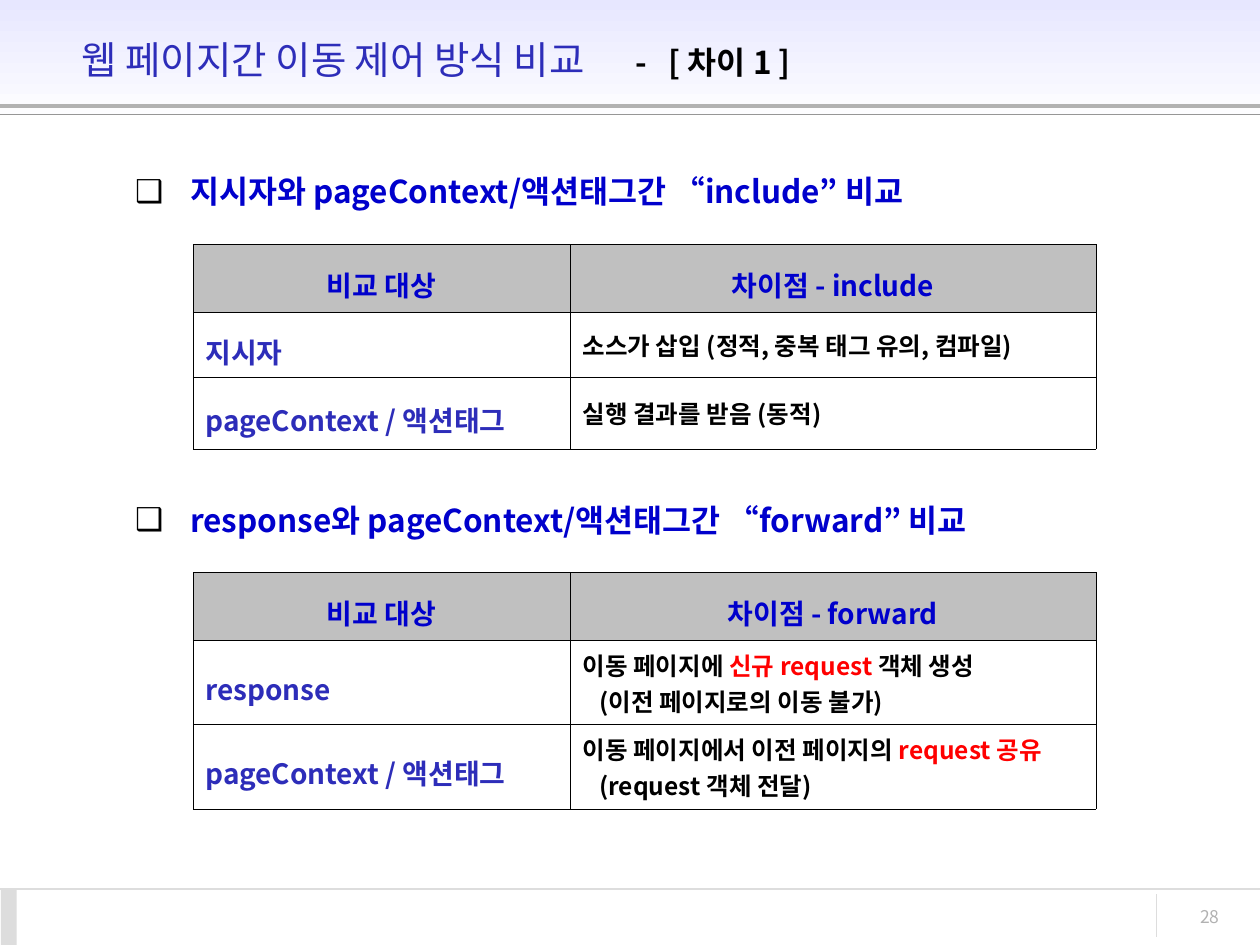
"""Build the slide comparing ways to move between web pages."""
from dataclasses import dataclass

from lxml import etree
from pptx import Presentation
from pptx import util as u
from pptx.dml.color import RGBColor
from pptx.enum import shapes, text
from pptx.oxml import ns

Pt = u.Pt
FONT = "Noto Sans CJK KR"
BLACK = RGBColor(0, 0, 0)
WHITE = RGBColor(0xFF, 0xFF, 0xFF)
LAVENDER = RGBColor(0xE7, 0xE7, 0xFF)
INDIGO = RGBColor(0x2D, 0x2D, 0xB9)
BLUE = RGBColor(0, 0, 0xCC)
RED = RGBColor(0xFF, 0, 0)
HEADER_GRAY = RGBColor(0xC0, 0xC0, 0xC0)
RULE_GRAY = RGBColor(0xB2, 0xB2, 0xB2)
DARK_GRAY = RGBColor(0x96, 0x96, 0x96)
PALE_GRAY = RGBColor(0xDD, 0xDD, 0xDD)


@dataclass(frozen=True)
class Rule:
    start: tuple[float, float]
    end: tuple[float, float]
    color: RGBColor
    width: float = 0.75


@dataclass(frozen=True)
class Span:
    words: str
    color: RGBColor = BLACK


@dataclass(frozen=True)
class Difference:
    subject: str
    lines: list[list[Span]]


@dataclass(frozen=True)
class Section:
    heading: str
    heading_top: float
    heading_width: float
    header: str
    table_top: float
    row_heights: list[float]
    differences: list[Difference]


RULES = [
    Rule((0, 60.5), (720, 60.5), RULE_GRAY, 2.25),
    Rule((0, 65.5), (720, 65.5), DARK_GRAY),
    Rule((0, 508), (720, 508), PALE_GRAY),
    Rule((661, 511), (661, 535.5), PALE_GRAY),
]

SECTIONS = [
    Section("지시자와 pageContext/액션태그간 “include” 비교", 88.5, 551, "차이점 - include",
            139.5, [39, 33, 41], [
                Difference("지시자", [[Span("소스가 삽입 (정적, 중복 태그 유의, 컴파일)")]]),
                Difference("pageContext / 액션태그", [[Span("실행 결과를 받음 (동적)")]]),
            ]),
    Section("response와 pageContext/액션태그간 “forward” 비교", 276, 580, "차이점 - forward",
            327, [39, 41, 41], [
                Difference("response", [
                    [Span("이동 페이지에 "), Span("신규 request ", RED), Span("객체 생성")],
                    [Span("(이전 페이지로의 이동 불가)")]]),
                Difference("pageContext / 액션태그", [
                    [Span("이동 페이지에서 이전 페이지의 "), Span("request 공유", RED)],
                    [Span("(request 객체 전달)")]]),
            ]),
]


def style_run(run, size: float, color: RGBColor, bold: bool = False) -> None:
    """Set Latin and East Asian fonts, size, colour and weight."""
    run.font.size = Pt(size)
    run.font.bold = bold
    run.font.color.rgb = color
    run.font.name = FONT
    etree.SubElement(run.font._element, ns.qn("a:ea"), typeface=FONT)


def place(shape, left: float, top: float, width: float, height: float) -> None:
    """Move and size a shape in points."""
    shape.left, shape.top, shape.width, shape.height = map(Pt, (left, top, width, height))


def indent(paragraph, margin: float, first: float = 0):
    """Set the paragraph indents and return its properties element."""
    properties = paragraph._p.get_or_add_pPr()
    properties.set("marL", str(Pt(margin)))
    properties.set("indent", str(Pt(first)))
    return properties


def draw_bar(slide, left: float, top: float, width: float, height: float):
    """Add a rectangle without outline or shadow."""
    bar = slide.shapes.add_shape(shapes.MSO_SHAPE.RECTANGLE, *map(Pt, (left, top, width, height)))
    bar.shadow.inherit = False
    bar.line.fill.background()
    return bar


def draw_rule(slide, rule: Rule) -> None:
    """Add a straight line without shadow."""
    line = slide.shapes.add_connector(
        shapes.MSO_CONNECTOR.STRAIGHT, *map(Pt, rule.start + rule.end))
    line.line.color.rgb = rule.color
    line.line.width = Pt(rule.width)
    etree.SubElement(line._element.spPr, ns.qn("a:effectLst"))


def draw_frame(slide) -> None:
    """Add the header band, the rules and the page number."""
    band = draw_bar(slide, 0, 0, 720, 72)
    band.fill.gradient()
    band.fill.gradient_angle = 270
    for stop, color, position in zip(band.fill.gradient_stops, (LAVENDER, WHITE), (0, 1)):
        stop.color.rgb = color
        stop.position = position
    for rule in RULES:
        draw_rule(slide, rule)
    marker = draw_bar(slide, 0.5, 508, 9, 32)
    marker.fill.solid()
    marker.fill.fore_color.rgb = PALE_GRAY
    page_number = slide.shapes.add_textbox(*map(Pt, (638, 514, 66, 24))).text_frame
    page_number.word_wrap = True
    page_number.text = "28"
    page_number.paragraphs[0].alignment = text.PP_ALIGN.RIGHT
    style_run(page_number.paragraphs[0].runs[0], 10, RULE_GRAY)


def fill_title(title) -> None:
    """Write the title and bring it in front of the band."""
    place(title, 39.5, 9.5, 621.5, 49)
    title.element.getparent().append(title.element)
    frame = title.text_frame
    frame.auto_size = text.MSO_AUTO_SIZE.NONE
    frame.vertical_anchor = text.MSO_ANCHOR.MIDDLE
    paragraph = frame.paragraphs[0]
    stops = etree.SubElement(paragraph._p.get_or_add_pPr(), ns.qn("a:tabLst"))
    for position in (316.5, 335.5):
        etree.SubElement(stops, ns.qn("a:tab"), pos=str(Pt(position)), algn="l")
    paragraph.alignment = text.PP_ALIGN.LEFT
    paragraph.text = "웹 페이지간 이동 제어 방식 비교"
    style_run(paragraph.runs[0], 22, INDIGO)
    part = paragraph.add_run()
    part.text = "\t-\t[ 차이 1 ]"
    style_run(part, 18, BLACK, True)


def fill_heading(heading, section: Section) -> None:
    """Write a section heading with its box bullet."""
    place(heading, 70, section.heading_top, section.heading_width, 45.5)
    frame = heading.text_frame
    frame.auto_size = text.MSO_AUTO_SIZE.NONE
    frame.text = section.heading
    paragraph = frame.paragraphs[0]
    properties = indent(paragraph, 31.5, -31.5)
    bullet_color = etree.SubElement(properties, ns.qn("a:buClr"))
    etree.SubElement(bullet_color, ns.qn("a:srgbClr"), val=str(BLACK))
    etree.SubElement(properties, ns.qn("a:buChar"), char="❑")
    paragraph.line_spacing = 1.3
    paragraph.space_before = Pt(0)
    style_run(paragraph.runs[0], 18, BLUE, True)


def format_cell(cell, fill: RGBColor | None = None) -> None:
    """Give a cell hairline borders, a fill and middle anchoring."""
    cell.vertical_anchor = text.MSO_ANCHOR.MIDDLE
    properties = cell._tc.get_or_add_tcPr()
    for side in ("a:lnL", "a:lnR", "a:lnT", "a:lnB"):
        border = etree.SubElement(properties, ns.qn(side), w=str(Pt(0.11)))
        solid = etree.SubElement(border, ns.qn("a:solidFill"))
        etree.SubElement(solid, ns.qn("a:srgbClr"), val=str(BLACK))
    if fill is None:
        cell.fill.background()
    else:
        cell.fill.solid()
        cell.fill.fore_color.rgb = fill


def write_label(cell, words: str, color: RGBColor, alignment) -> None:
    """Write a header or subject cell."""
    cell.text_frame.text = words
    paragraph = cell.text_frame.paragraphs[0]
    paragraph.alignment = alignment
    paragraph.line_spacing = 1.3
    style_run(paragraph.runs[0], 16, color, True)


def write_difference(cell, lines: list[list[Span]]) -> None:
    """Write the coloured lines of a difference, indenting the later ones."""
    for number, spans in enumerate(lines):
        frame = cell.text_frame
        paragraph = frame.add_paragraph() if number else frame.paragraphs[0]
        if number:
            indent(paragraph, 9.5)
        paragraph.alignment = text.PP_ALIGN.JUSTIFY
        for span in spans:
            run = paragraph.add_run()
            run.text = span.words
            style_run(run, 14, span.color, True)


def draw_comparison(slide, section: Section) -> None:
    """Add the comparison table of a section."""
    table = slide.shapes.add_table(len(section.row_heights), 2, *map(
        Pt, (110.25, section.table_top, 516, sum(section.row_heights)))).table
    table.first_row = table.horz_banding = False
    for column, width in zip(table.columns, (215.5, 300.5)):
        column.width = Pt(width)
    for row, height in zip(table.rows, section.row_heights):
        row.height = Pt(height)
    for column, words in enumerate(("비교 대상", section.header)):
        write_label(table.cell(0, column), words, BLUE, text.PP_ALIGN.CENTER)
        format_cell(table.cell(0, column), HEADER_GRAY)
    for row, difference in enumerate(section.differences, 1):
        write_label(table.cell(row, 0), difference.subject, INDIGO, text.PP_ALIGN.LEFT)
        write_difference(table.cell(row, 1), difference.lines)
        for column in range(2):
            format_cell(table.cell(row, column))


def main() -> None:
    """Assemble and save the slide."""
    deck = Presentation()
    deck.slide_width, deck.slide_height = Pt(720), Pt(540)
    slide = deck.slides.add_slide(deck.slide_layouts[3])
    title, *headings = slide.placeholders
    draw_frame(slide)
    fill_title(title)
    for heading, section in zip(headings, SECTIONS):
        fill_heading(heading, section)
        draw_comparison(slide, section)
    deck.save("out.pptx")


if __name__ == "__main__":
    main()
